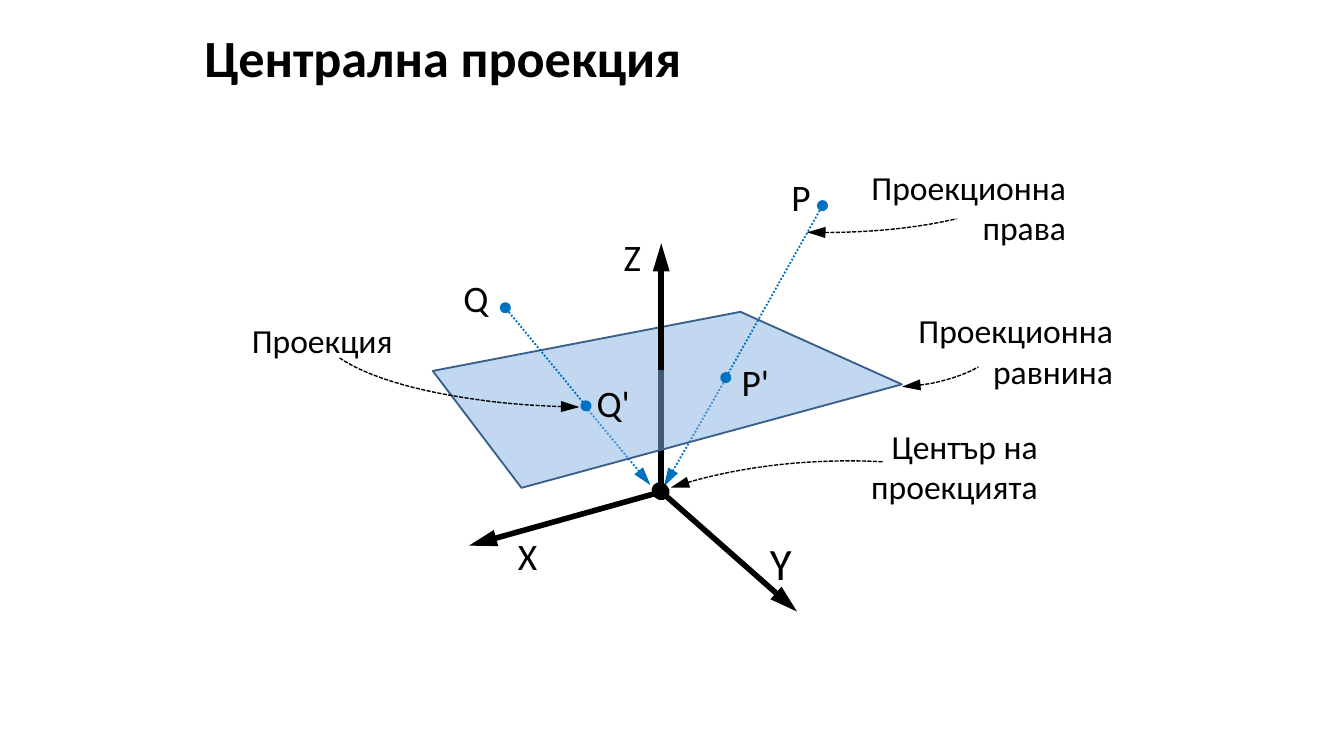
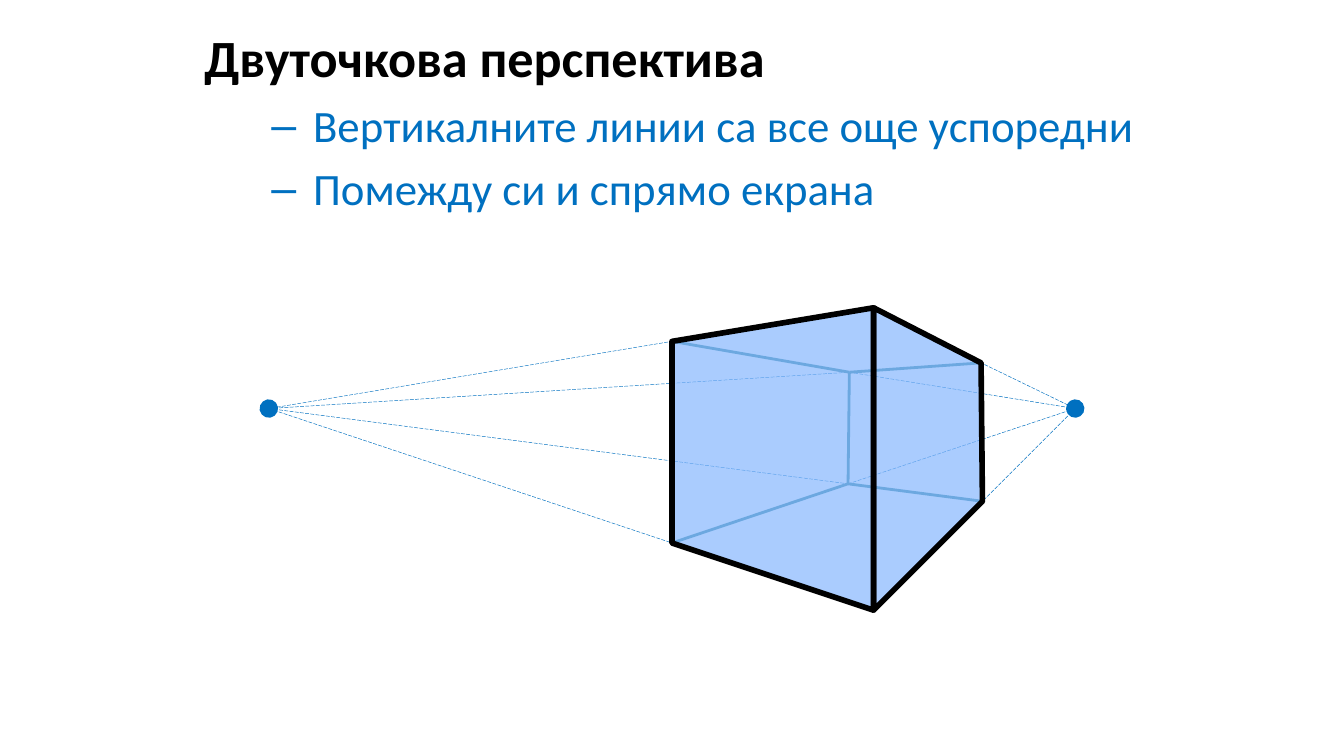
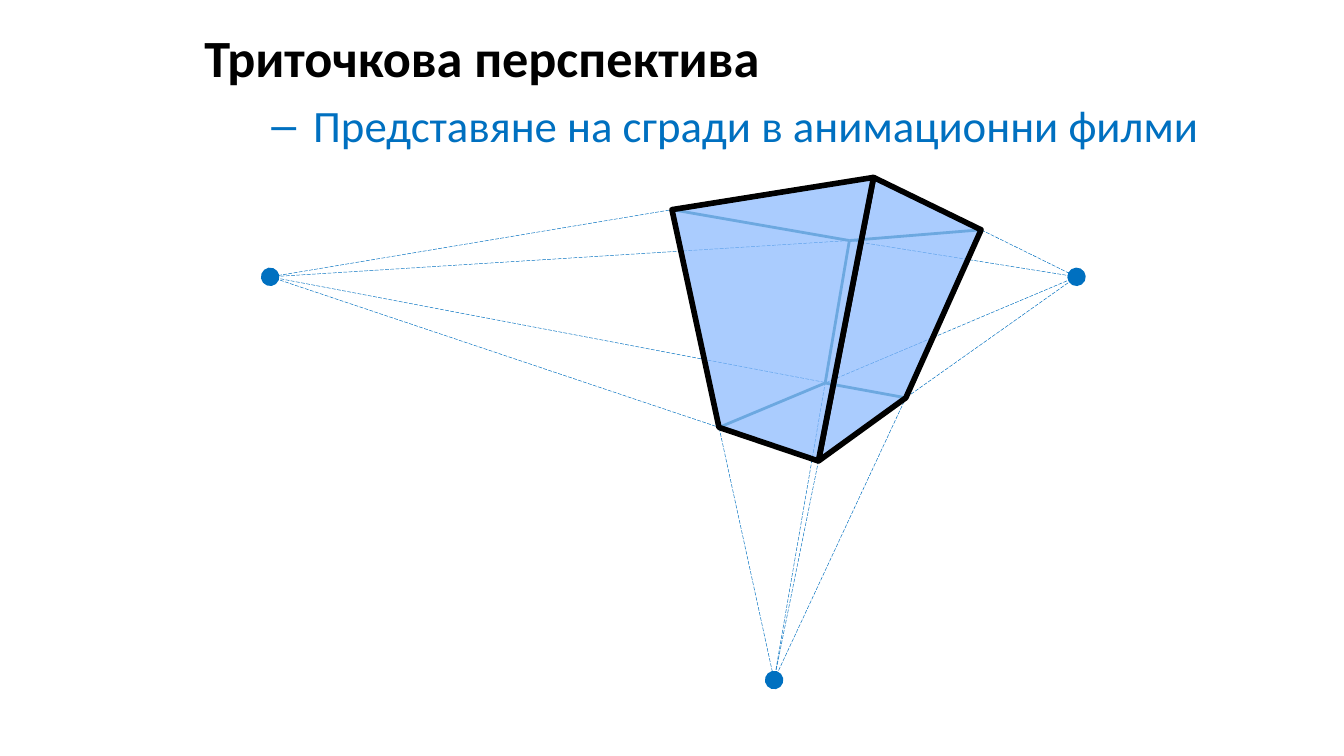
from dataclasses import dataclass
from typing import Any, NamedTuple, Optional

from lxml.etree import SubElement
from pptx import Presentation
from pptx.dml.color import RGBColor
from pptx.enum.dml import MSO_LINE
from pptx.enum.shapes import MSO_CONNECTOR, MSO_SHAPE
from pptx.enum.text import MSO_ANCHOR, MSO_AUTO_SIZE, PP_ALIGN
from pptx.oxml.ns import qn
from pptx.slide import Slide
from pptx.util import Inches, Pt


@dataclass(frozen=True)
class Theme:
    font: str = "Calibri"
    ink: RGBColor = RGBColor(0x00, 0x00, 0x00)
    accent: RGBColor = RGBColor(0x00, 0x70, 0xC0)
    hidden_edge: RGBColor = RGBColor(0x31, 0x85, 0x9C)
    plane: RGBColor = RGBColor(0x86, 0xB0, 0xE2)
    plane_edge: RGBColor = RGBColor(0x3A, 0x5F, 0x8C)
    face: RGBColor = RGBColor(0x86, 0xB7, 0xFE)
    title_size: int = 28
    bullet_size: int = 24
    axis_y_size: int = 24
    point_size: int = 20
    callout_size: int = 18


THEME = Theme()


class Point(NamedTuple):
    x: float
    y: float


class Box(NamedTuple):
    left: float
    top: float
    width: float
    height: float


class End(NamedTuple):
    kind: str
    width: str = "med"
    length: str = "med"


class Stroke(NamedTuple):
    color: RGBColor
    width: float
    dash: Optional[MSO_LINE] = None


class Segment(NamedTuple):
    start: Point
    finish: Point
    stroke: Stroke
    head: Optional[End] = None
    tail: Optional[End] = None


class Label(NamedTuple):
    text: str
    box: Box
    size: int
    align: PP_ALIGN


class Pointer(NamedTuple):
    ellipse: Box
    start_angle: float
    end_angle: float
    flipped: bool


@dataclass(frozen=True)
class Cube:
    left_top: Point
    left_bottom: Point
    front_top: Point
    front_bottom: Point
    right_top: Point
    right_bottom: Point
    back_top: Point
    back_bottom: Point


class VanishingPoint(NamedTuple):
    at: Point
    corners: tuple[str, ...]


class Perspective(NamedTuple):
    title: str
    bullets: tuple[str, ...]
    cube: Cube
    vanishing: tuple[VanishingPoint, ...]


TITLE_BOX = Box(1.42, 0.14, 8.58, 0.55)
BULLETS_BOX = Box(1.42, 0.68, 8.58, 4.64)

ARROW = End("triangle", length="lg")
DOT = End("oval")
BIG_DOT = End("oval", "lg", "lg")

AXIS = Stroke(THEME.ink, 3)
RAY = Stroke(THEME.accent, 1, MSO_LINE.ROUND_DOT)
POINTER = Stroke(THEME.ink, 0.75, MSO_LINE.SQUARE_DOT)
GUIDE = Stroke(THEME.accent, 0.25, MSO_LINE.LONG_DASH)
HIDDEN_EDGE = Stroke(THEME.hidden_edge, 1.5)
PLANE_EDGE = Stroke(THEME.plane_edge, 1)

BEHIND_PLANE = (
    Segment(Point(4.84, 3.61), Point(4.36, 3.03), RAY, ARROW),
    Segment(Point(4.94, 3.62), Point(5.41, 2.8), RAY, ARROW),
    Segment(Point(4.92, 3.66), Point(3.49, 4.06), AXIS, DOT, ARROW),
    Segment(Point(4.91, 3.65), Point(5.93, 4.55), AXIS, DOT, ARROW),
    Segment(Point(4.92, 3.67), Point(4.92, 2.75), AXIS),
)
PLANE = (Point(5.51, 2.32), Point(6.71, 2.86), Point(3.88, 3.63), Point(3.22, 2.76))
ABOVE_PLANE = (
    Segment(Point(4.92, 2.75), Point(4.92, 1.81), AXIS, tail=ARROW),
    Segment(Point(4.36, 3.02), Point(3.76, 2.29), RAY, DOT, DOT),
    Segment(Point(5.4, 2.81), Point(6.12, 1.53), RAY, DOT, DOT),
)
LABELS = (
    Label("Z", Box(4.5, 1.69, 0.41, 0.44), THEME.point_size, PP_ALIGN.CENTER),
    Label("X", Box(3.72, 3.92, 0.41, 0.44), THEME.point_size, PP_ALIGN.CENTER),
    Label("Y", Box(5.62, 3.94, 0.38, 0.5), THEME.axis_y_size, PP_ALIGN.CENTER),
    Label("P", Box(5.79, 1.25, 0.34, 0.44), THEME.point_size, PP_ALIGN.LEFT),
    Label("P'", Box(5.42, 2.62, 0.42, 0.44), THEME.point_size, PP_ALIGN.LEFT),
    Label("Q", Box(3.35, 2, 0.34, 0.44), THEME.point_size, PP_ALIGN.LEFT),
    Label("Q'", Box(4.34, 2.78, 0.48, 0.44), THEME.point_size, PP_ALIGN.LEFT),
    Label("Проекция", Box(1.58, 2.33, 1.44, 0.4), THEME.callout_size, PP_ALIGN.RIGHT),
    Label("Проекционна права", Box(6.38, 1.19, 1.65, 0.71), THEME.callout_size, PP_ALIGN.RIGHT),
    Label("Проекционна равнина", Box(6.54, 2.26, 1.84, 0.71), THEME.callout_size, PP_ALIGN.RIGHT),
    Label("Център на\vпроекцията", Box(5.98, 3.12, 1.84, 0.71), THEME.callout_size, PP_ALIGN.RIGHT),
)
POINTERS = (
    Pointer(Box(2.36, 1.82, 4.13, 1.21), 100.59, 172.82, False),
    Pointer(Box(4.59, 0.85, 3.08, 0.88), 254.03, 341.11, True),
    Pointer(Box(5.73, 2, 1.77, 0.88), 282.54, 336.42, True),
    Pointer(Box(3.88, 3.43, 4.88, 2.47), 217.94, 281.52, False),
)

LEFT_CORNERS = ("left_top", "left_bottom", "back_top")
RIGHT_CORNERS = ("right_top", "right_bottom", "back_top", "back_bottom")
LOWER_CORNERS = ("left_bottom", "front_bottom", "right_bottom", "back_bottom")
HIDDEN_EDGES = (
    ("back_top", "right_top"),
    ("back_top", "left_top"),
    ("back_top", "back_bottom"),
    ("back_bottom", "right_bottom"),
    ("back_bottom", "left_bottom"),
)
FACES = (
    ("front_top", "right_top", "right_bottom", "front_bottom"),
    ("left_top", "front_top", "front_bottom", "left_bottom"),
)
PERSPECTIVES = (
    Perspective(
        "Двуточкова перспектива",
        ("Вертикалните линии са все още успоредни", "Помежду си и спрямо екрана"),
        Cube(
            left_top=Point(5, 2.54), left_bottom=Point(5, 4.04),
            front_top=Point(6.5, 2.29), front_bottom=Point(6.5, 4.54),
            right_top=Point(7.3, 2.7), right_bottom=Point(7.31, 3.73),
            back_top=Point(6.32, 2.77), back_bottom=Point(6.31, 3.6),
        ),
        (
            VanishingPoint(Point(2, 3.04), LEFT_CORNERS + ("back_bottom",)),
            VanishingPoint(Point(8, 3.04), RIGHT_CORNERS),
        ),
    ),
    Perspective(
        "Триточкова перспектива",
        ("Представяне на сгради в анимационни филми",),
        Cube(
            left_top=Point(5, 1.56), left_bottom=Point(5.35, 3.18),
            front_top=Point(6.5, 1.32), front_bottom=Point(6.09, 3.43),
            right_top=Point(7.3, 1.71), right_bottom=Point(6.74, 2.96),
            back_top=Point(6.32, 1.79), back_bottom=Point(6.14, 2.85),
        ),
        (
            VanishingPoint(Point(5.76, 5.06), LOWER_CORNERS),
            VanishingPoint(Point(2.01, 2.06), LEFT_CORNERS + ("right_bottom",)),
            VanishingPoint(Point(8.01, 2.06), RIGHT_CORNERS),
        ),
    ),
)


def apply(target: Any, formats: dict[str, Any]) -> None:
    for attribute, value in formats.items():
        setattr(target, attribute, value)


def inches(box: Box) -> list[int]:
    return [Inches(length) for length in box]


def style_font(run: Any, size: int, color: RGBColor, bold: bool = False) -> None:
    apply(run.font, {"name": THEME.font, "size": Pt(size), "bold": bold})
    run.font.color.rgb = color


def style_line(shape: Any, stroke: Stroke, head: Optional[End] = None,
               tail: Optional[End] = None) -> None:
    shape.line.color.rgb = stroke.color
    shape.line.width = Pt(stroke.width)
    if stroke.dash is not None:
        shape.line.dash_style = stroke.dash
    outline = shape.element.spPr.find(qn("a:ln"))
    for tag, end in (("a:headEnd", head), ("a:tailEnd", tail)):
        if end:
            SubElement(outline, qn(tag), type=end.kind, w=end.width, len=end.length)


def draw_segment(slide: Slide, segment: Segment) -> None:
    ends = [Inches(length) for length in segment.start + segment.finish]
    connector = slide.shapes.add_connector(MSO_CONNECTOR.STRAIGHT, *ends)
    style_line(connector, segment.stroke, segment.head, segment.tail)
    SubElement(connector.element.spPr, qn("a:effectLst"))


def draw_polygon(slide: Slide, corners: tuple[Point, ...], color: RGBColor,
                 opacity: int, edge: Stroke) -> None:
    first, *others = [(Inches(corner.x), Inches(corner.y)) for corner in corners]
    builder = slide.shapes.build_freeform(*first)
    builder.add_line_segments(others, close=True)
    polygon = builder.convert_to_shape()
    polygon.shadow.inherit = False
    polygon.fill.solid()
    polygon.fill.fore_color.rgb = color
    tint = polygon.element.spPr.find(qn("a:solidFill")).find(qn("a:srgbClr"))
    SubElement(tint, qn("a:alpha"), val=str(opacity * 1000))
    style_line(polygon, edge)


def draw_label(slide: Slide, label: Label) -> None:
    frame = slide.shapes.add_textbox(*inches(label.box)).text_frame
    apply(frame, {"word_wrap": True, "auto_size": MSO_AUTO_SIZE.SHAPE_TO_FIT_TEXT})
    paragraph = frame.paragraphs[0]
    apply(paragraph, {"text": label.text, "alignment": label.align})
    for run in paragraph.runs:
        style_font(run, label.size, THEME.ink)


def draw_pointer(slide: Slide, pointer: Pointer) -> None:
    arc = slide.shapes.add_shape(MSO_SHAPE.ARC, *inches(pointer.ellipse))
    arc.shadow.inherit = False
    arc.fill.background()
    for index, angle in enumerate((pointer.start_angle, pointer.end_angle)):
        arc.adjustments[index] = angle * 0.6
    if pointer.flipped:
        arc.element.spPr.find(qn("a:xfrm")).set("flipV", "1")
    style_line(arc, POINTER, ARROW)


def settle_placeholder(placeholder: Any, box: Box) -> Any:
    apply(placeholder, dict(zip(Box._fields, inches(box))))
    frame = placeholder.text_frame
    apply(frame, {"word_wrap": True, "auto_size": MSO_AUTO_SIZE.NONE,
                  "vertical_anchor": MSO_ANCHOR.TOP})
    return frame


def write_title(slide: Slide, title: str) -> None:
    paragraph = settle_placeholder(slide.shapes.title, TITLE_BOX).paragraphs[0]
    apply(paragraph, {"text": title, "alignment": PP_ALIGN.LEFT, "space_before": Pt(0)})
    style_font(paragraph.runs[0], THEME.title_size, THEME.ink, bold=True)


def write_bullets(slide: Slide, bullets: tuple[str, ...]) -> None:
    body = slide.placeholders[1]
    frame = settle_placeholder(body, BULLETS_BOX)
    for index, bullet in enumerate(bullets):
        paragraph = frame.add_paragraph() if index else frame.paragraphs[0]
        apply(paragraph, {"text": bullet, "level": 1, "space_before": Pt(5 if index else 0)})
        style_font(paragraph.runs[0], THEME.bullet_size, THEME.accent)
    for properties in body.element.iter(qn("a:pPr")):
        properties.set("marL", str(Inches(0.81)))
        properties.set("indent", str(Inches(-0.31)))
        SubElement(properties, qn("a:buChar"), char="–")


def build_projection(deck: Any) -> None:
    slide = deck.slides.add_slide(deck.slide_layouts[5])
    write_title(slide, "Централна проекция")
    for segment in BEHIND_PLANE:
        draw_segment(slide, segment)
    draw_polygon(slide, PLANE, THEME.plane, 50, PLANE_EDGE)
    for segment in ABOVE_PLANE:
        draw_segment(slide, segment)
    for label in LABELS:
        draw_label(slide, label)
    for pointer in POINTERS:
        draw_pointer(slide, pointer)


def build_perspective(deck: Any, view: Perspective) -> None:
    slide = deck.slides.add_slide(deck.slide_layouts[1])
    write_title(slide, view.title)
    write_bullets(slide, view.bullets)
    for vanishing in view.vanishing:
        for index, corner in enumerate(vanishing.corners):
            draw_segment(slide, Segment(vanishing.at, getattr(view.cube, corner), GUIDE,
                                        None if index else BIG_DOT))
    for start, finish in HIDDEN_EDGES:
        draw_segment(slide, Segment(getattr(view.cube, start), getattr(view.cube, finish),
                                    HIDDEN_EDGE))
    for face in FACES:
        corners = tuple(getattr(view.cube, corner) for corner in face)
        draw_polygon(slide, corners, THEME.face, 70, AXIS)


def main() -> None:
    deck = Presentation()
    apply(deck, {"slide_width": Inches(10), "slide_height": Inches(10) * 9 // 16})
    build_projection(deck)
    for view in PERSPECTIVES:
        build_perspective(deck, view)
    deck.save("out.pptx")


if __name__ == "__main__":
    main()
